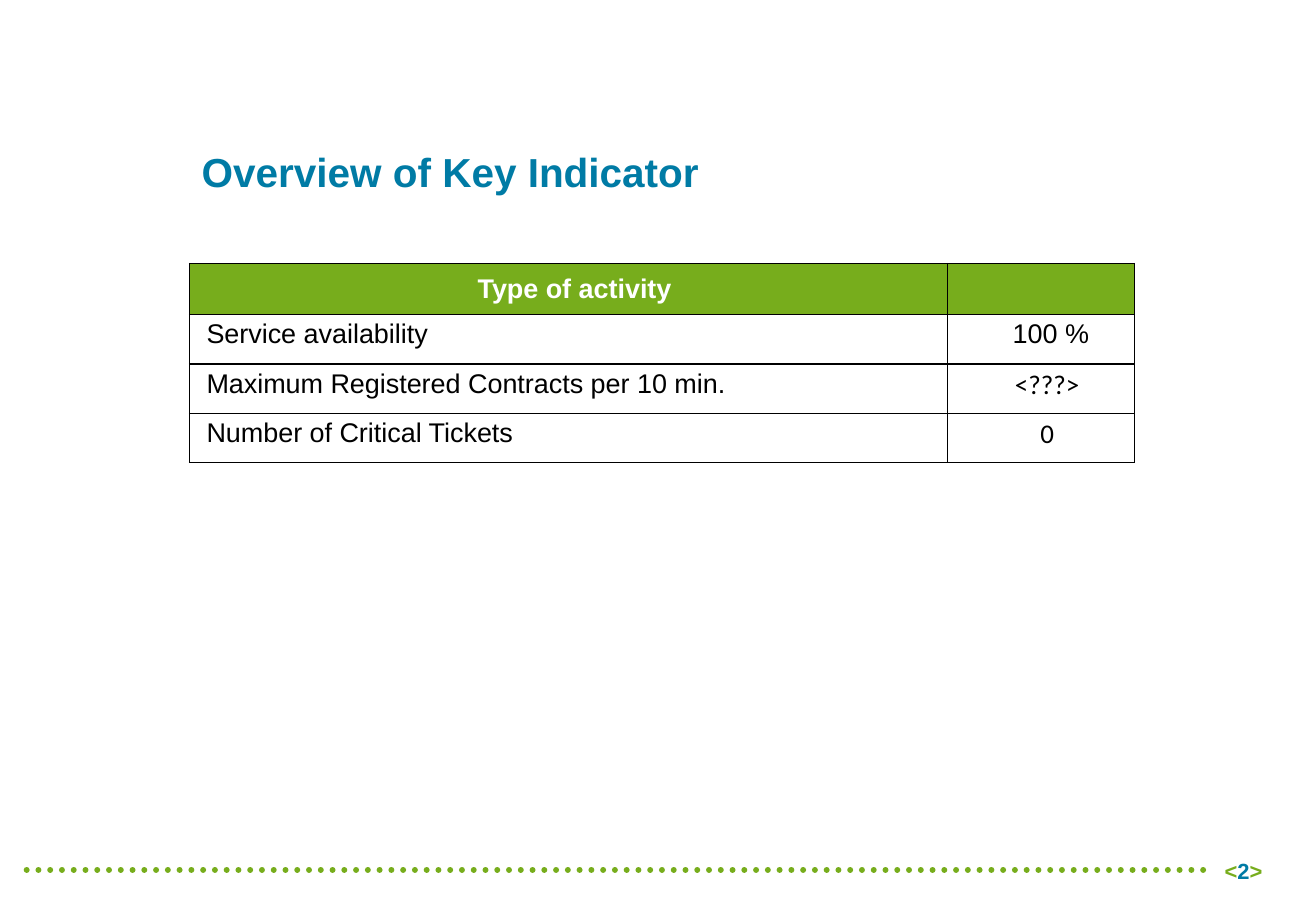
from lxml import etree
from pptx import Presentation
from pptx import util as u
from pptx.dml import color
from pptx.enum import dml, shapes, text
from pptx.oxml import ns

COLORS = {"green": "77AD1C", "blue": "007BA5", "black": "000000", "white": "FFFFFF"}
BORDER_SIDES = ("a:lnL", "a:lnR", "a:lnT", "a:lnB")
COLUMN_WIDTHS = (449.3, 110.9)
ROW_HEIGHTS = (30.4, 29.2, 29.2, 29.2)
INDICATORS = (
    ("Type of activity", ""),
    ("Service availability", " 100 %"),
    ("Maximum Registered Contracts per 10 min.", "<???>"),
    ("Number of Critical Tickets", "0"),
)


class IndicatorPage:
    def __init__(self, deck):
        self.page = deck.slides.add_slide(deck.slide_layouts[5])
        self.font = "Arial"
        self.inset = u.Pt(2.9)
        self.indent = u.Pt(7.2)

    def rgb(self, name):
        return color.RGBColor.from_string(COLORS[name])

    def style(self, span, size, shade, bold=False, font=None):
        span.font.name = font or self.font
        span.font.size = u.Pt(size)
        span.font.bold = bold
        span.font.color.rgb = self.rgb(shade)

    def title(self, wording, left, top, width, height):
        box = self.page.shapes.title
        box.left, box.top = u.Pt(left), u.Pt(top)
        box.width, box.height = u.Pt(width), u.Pt(height)
        box.text_frame.text = wording
        box.text_frame.vertical_anchor = text.MSO_ANCHOR.MIDDLE
        para = box.text_frame.paragraphs[0]
        para.alignment = text.PP_ALIGN.LEFT
        self.style(para.runs[0], 24, "blue", True)

    def dotted_line(self, left, right, top):
        line = self.page.shapes.add_connector(
            shapes.MSO_CONNECTOR.STRAIGHT, u.Pt(left), u.Pt(top), u.Pt(right), u.Pt(top))
        line.line.color.rgb = self.rgb("green")
        line.line.width = u.Pt(3.5)
        line.line.dash_style = dml.MSO_LINE.ROUND_DOT
        properties = line.line._get_or_add_ln()
        properties.set("cap", "rnd")
        etree.SubElement(properties.getparent(), ns.qn("a:effectLst"))

    def page_number(self, number, left, top, width, height):
        box = self.page.shapes.add_textbox(u.Pt(left), u.Pt(top), u.Pt(width), u.Pt(height))
        frame = box.text_frame
        frame.word_wrap = True
        frame.vertical_anchor = text.MSO_ANCHOR.MIDDLE
        frame.margin_top = frame.margin_bottom = 0
        para = frame.paragraphs[0]
        para.alignment = text.PP_ALIGN.RIGHT
        for wording, shade in (("<", "green"), (number, "blue"), (">", "green")):
            span = para.add_run()
            span.text = wording
            self.style(span, 13, shade, True)

    def table(self, rows, widths, heights, left, top):
        table = self.page.shapes.add_table(
            len(rows), len(widths), u.Pt(left), u.Pt(top),
            u.Pt(sum(widths)), u.Pt(sum(heights))).table
        table.first_row = table.horz_banding = False
        for column, width in zip(table.columns, widths):
            column.width = u.Pt(width)
        for row_index, (row, height) in enumerate(zip(rows, heights)):
            table.rows[row_index].height = u.Pt(height)
            for column_index, wording in enumerate(row):
                self.cell(table.cell(row_index, column_index), wording,
                          header=row_index == 0,
                          centred=row_index == 0 or column_index == 1,
                          font="Calibri" if row_index > 1 and column_index == 1 else None)

    def cell(self, cell, wording, header, centred, font):
        cell.margin_left = cell.margin_right = self.inset
        cell.margin_top = cell.margin_bottom = self.inset
        cell.fill.solid()
        cell.fill.fore_color.rgb = self.rgb("green" if header else "white")
        cell.vertical_anchor = text.MSO_ANCHOR.MIDDLE if header else text.MSO_ANCHOR.TOP
        self.borders(cell)
        cell.text_frame.text = wording
        para = cell.text_frame.paragraphs[0]
        para.alignment = text.PP_ALIGN.CENTER if centred else text.PP_ALIGN.LEFT
        properties = para._p.get_or_add_pPr()
        properties.set("marL", str(self.indent))
        properties.set("indent", "0")
        spacing = etree.SubElement(properties, ns.qn("a:spcBef"))
        etree.SubElement(spacing, ns.qn("a:spcPct"), val="30000")
        for span in para.runs:
            self.style(span, 16, "white" if header else "black", header, font)

    def borders(self, cell):
        properties = cell._tc.get_or_add_tcPr()
        for position, side in enumerate(BORDER_SIDES):
            border = etree.Element(ns.qn(side), w=str(u.Pt(1)))
            fill = etree.SubElement(border, ns.qn("a:solidFill"))
            etree.SubElement(fill, ns.qn("a:srgbClr"), val=COLORS["black"])
            properties.insert(position, border)


def main():
    deck = Presentation()
    deck.slide_width, deck.slide_height = u.Pt(780), u.Pt(540)
    overview = IndicatorPage(deck)
    overview.dotted_line(15.8, 718.6, 515.6)
    overview.page_number("2", 690.5, 508.3, 64.8, 15.1)
    overview.title("Overview of Key Indicator", 112.3, 66.2, 516.2, 71.3)
    overview.table(INDICATORS, COLUMN_WIDTHS, ROW_HEIGHTS, 112.3, 156.2)
    deck.save("out.pptx")


if __name__ == "__main__":
    main()
